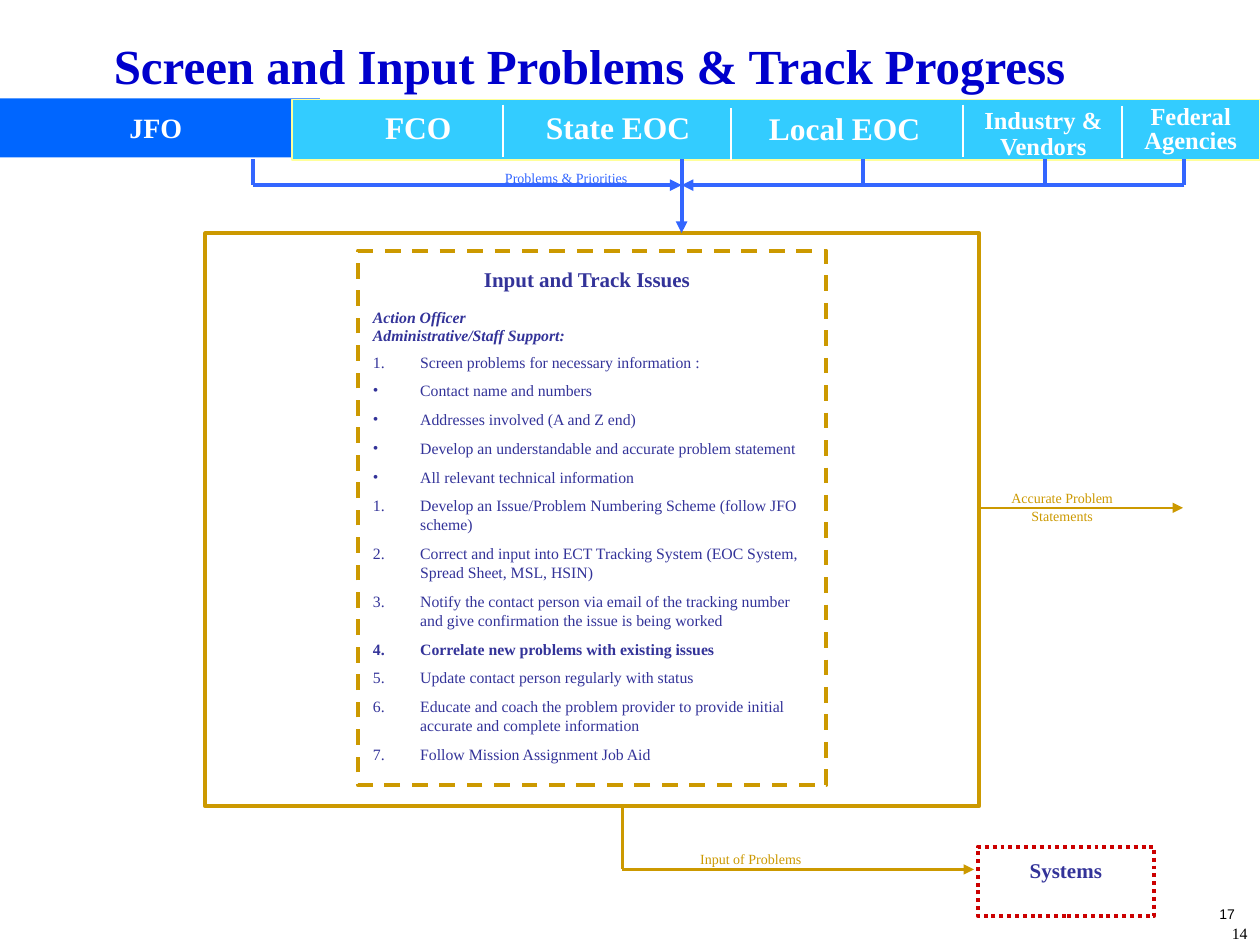
from lxml import etree
from pptx import Presentation
from pptx import util as u
from pptx.dml.color import RGBColor
from pptx.enum import dml, shapes, text
from pptx.oxml import ns

SERIF = "Times New Roman"
NAVY, GOLD, BLUE, WHITE = "333399", "CC9900", "3366FF", "FFFFFF"

# Content: places are (left, top, width, height) in points
TITLE = "Screen and Input Problems & Track Progress"
NUMBER, DOT = "number", "dot"
ISSUES = [  # words, marker, format
    ("Action Officer", None, dict(bold=True, italic=True, spacing=0.9)),
    ("Administrative/Staff Support:", None, dict(bold=True, italic=True, spacing=0.3)),
    ("Screen problems for necessary information :", NUMBER, {}),
    ("Contact name and numbers", DOT, {}),
    ("Addresses involved (A and Z end)", DOT, {}),
    ("Develop an understandable and accurate problem statement", DOT, {}),
    ("All relevant technical information", DOT, {}),
    ("Develop an Issue/Problem Numbering Scheme (follow JFO scheme)", NUMBER, {}),
    ("Correct and input into ECT Tracking System (EOC System, Spread Sheet, MSL, HSIN)", NUMBER, {}),
    ("Notify the contact person via email of the tracking number and give "
     "confirmation the issue is being worked", NUMBER, {}),
    ("Correlate new problems with existing issues", NUMBER, dict(bold=True)),
    ("Update contact person regularly with status", NUMBER, {}),
    ("Educate and coach the problem provider to provide initial accurate and "
     "complete information", NUMBER, {}),
    ("Follow Mission Assignment Job Aid", NUMBER, {}),
]
AGENCIES = [  # words, place, size, line spacing
    ("JFO", (0, 61.9, 178, 24.5), 16, 0.9),
    ("FCO", (205.9, 58.3, 66.2, 28.8), 18, 1),
    ("State EOC", (287.3, 58.3, 131.8, 28.8), 18, 1),
    ("Local EOC", (429.8, 59, 105.8, 28.8), 18, 1),
    ("Industry & Vendors", (542.2, 58.3, 108, 37.4), 14, 0.9),
    ("Federal Agencies", (628.6, 57.6, 103.7, 34.6), 14, 0.8),
]
DIVIDERS = [(287.3, 59.8), (417.6, 61.9), (550.4, 59.8), (641.2, 60.5)]  # x, top
LABELS = [  # words, place, format
    ("Input and Track Issues", (239, 149, 193, 21.6), dict(size=12, bold=True)),
    ("Problems & Priorities", (281.5, 89.3, 96.5, 20.9),
     dict(size=8, color=BLUE, align="LEFT", spacing=1.4)),
    ("Accurate Problem Statements", (563.8, 275, 86.4, 28), dict(size=8, color=GOLD, spacing=1.1)),
    ("Input of Problems", (385.9, 481.7, 86.4, 18), dict(size=8, color=GOLD, spacing=1.1)),
    ("Systems", (558.7, 488.2, 100.8, 41), dict(size=12, bold=True, spacing=0.9)),
    ("14", (665.3, 524.2, 54.7, 18), dict(color="000000", align="RIGHT")),
    ("17", (655.2, 514.1, 57.6, 23), dict(size=8, color="000000", align="RIGHT", font="Arial")),
]
BUS_Y, BAND_BOTTOM, HUB_X = 105.8, 91, 389.5
DROPS = [144.7, 493.2, 596.9, 676.8]
OUTER = (117.4, 133.2, 442.1, 327.6)

deck = Presentation()
deck.slide_width, deck.slide_height = u.Pt(720), u.Pt(540)
page = deck.slides.add_slide(deck.slide_layouts[1])


def rgb(code):
    return RGBColor.from_string(code)


def write(para, words, size=9, color=NAVY, bold=False, italic=False,
          align="CENTER", spacing=1.0, before=0, font=SERIF):
    para.alignment = getattr(text.PP_ALIGN, align)
    para.line_spacing = float(spacing)
    para.space_before = u.Pt(before)
    span = para.add_run()
    span.text = words
    span.font.name, span.font.size = font, u.Pt(size)
    span.font.bold, span.font.italic = bold, italic
    span.font.color.rgb = rgb(color)


def mark(para, marker):
    """Hanging indent with a number, a dot or no marker."""
    props = para._p.get_or_add_pPr()
    props.set("marL", str(u.Pt(27)))
    props.set("indent", str(u.Pt(-27)))
    if marker is None:
        etree.SubElement(props, ns.qn("a:buNone"))
        return
    etree.SubElement(props, ns.qn("a:buFont"), typeface=SERIF)
    if marker == NUMBER:
        etree.SubElement(props, ns.qn("a:buAutoNum"), type="arabicPeriod")
    else:
        etree.SubElement(props, ns.qn("a:buChar"), char="•")


def place_frame(box, place):
    box.left, box.top, box.width, box.height = map(u.Pt, place)
    frame = box.text_frame
    frame.word_wrap = True
    frame.auto_size = text.MSO_AUTO_SIZE.NONE
    frame.vertical_anchor = text.MSO_ANCHOR.TOP
    return frame


def add_label(words, place, **style):
    box = page.shapes.add_textbox(*map(u.Pt, place))
    write(place_frame(box, place).paragraphs[0], words, **style)


def add_rect(place, fill=None, line=None, width=2.25, dash=None):
    box = page.shapes.add_shape(shapes.MSO_SHAPE.RECTANGLE, *map(u.Pt, place))
    box.shadow.inherit = False
    if fill:
        box.fill.solid()
        box.fill.fore_color.rgb = rgb(fill)
    else:
        box.fill.background()
    if line:
        box.line.color.rgb = rgb(line)
        box.line.width = u.Pt(width)
        if dash:
            box.line.dash_style = dash
    else:
        box.line.fill.background()
    return box


def add_line(x1, y1, x2, y2, color, width, arrow=False):
    line = page.shapes.add_connector(shapes.MSO_CONNECTOR.STRAIGHT, *map(u.Pt, (x1, y1, x2, y2)))
    line.line.color.rgb = rgb(color)
    line.line.width = u.Pt(width)
    if arrow:
        etree.SubElement(line.line._get_or_add_ln(), ns.qn("a:tailEnd"), type="triangle")
    etree.SubElement(line.element.spPr, ns.qn("a:effectLst"))


# Title and issue list, with the outer frame behind them
title, body = page.placeholders
write(place_frame(title, (48.2, 16.6, 577.4, 92.2)).paragraphs[0], TITLE,
      size=28, color="0000CC", bold=True)
frame = place_frame(body, (205.9, 173.5, 265.7, 283))
for index, (words, marker, style) in enumerate(ISSUES):
    para = frame.add_paragraph() if index else frame.paragraphs[0]
    mark(para, marker)
    write(para, words, align="LEFT", before=5.6 if index else 0, **style)
outer = add_rect(OUTER, fill=WHITE, line=GOLD)
title.element.addprevious(outer.element)
add_rect((204.5, 143.3, 267.8, 305.3), line=GOLD, dash=dml.MSO_LINE.DASH)

# Band of agencies
add_rect((0, 56.2, 182.9, 33.8), fill="0066FF")
add_rect((167, 56.9, 553, 34.6), fill="33CCFF", line="FFFF99", width=1)
for x, top in DIVIDERS:
    add_line(x, top, x, top + 29.8, WHITE, 1)
for words, place, size, spacing in AGENCIES:
    add_label(words, place, size=size, spacing=spacing, color=WHITE, bold=True)

# Problems flowing from the agencies into the frame
for x in DROPS:
    add_line(x, BAND_BOTTOM, x, BUS_Y, BLUE, 2.25)
for x in (DROPS[0], DROPS[-1]):
    add_line(x, BUS_Y, HUB_X, BUS_Y, BLUE, 2.25, arrow=True)
add_line(HUB_X, BAND_BOTTOM, HUB_X, OUTER[1], BLUE, 2.25, arrow=True)

# Results leaving the frame
add_rect((558.7, 483.8, 100.8, 39.6), line="CC0000", dash=dml.MSO_LINE.ROUND_DOT)
add_line(558.7, 290.2, 676, 290.2, GOLD, 1.5, arrow=True)
add_line(355.7, OUTER[1] + OUTER[3], 355.7, 496.8, GOLD, 1.5)
add_line(355.7, 496.8, 556.6, 496.8, GOLD, 1.5, arrow=True)
for words, place, style in LABELS:
    add_label(words, place, **style)

deck.save("out.pptx")
